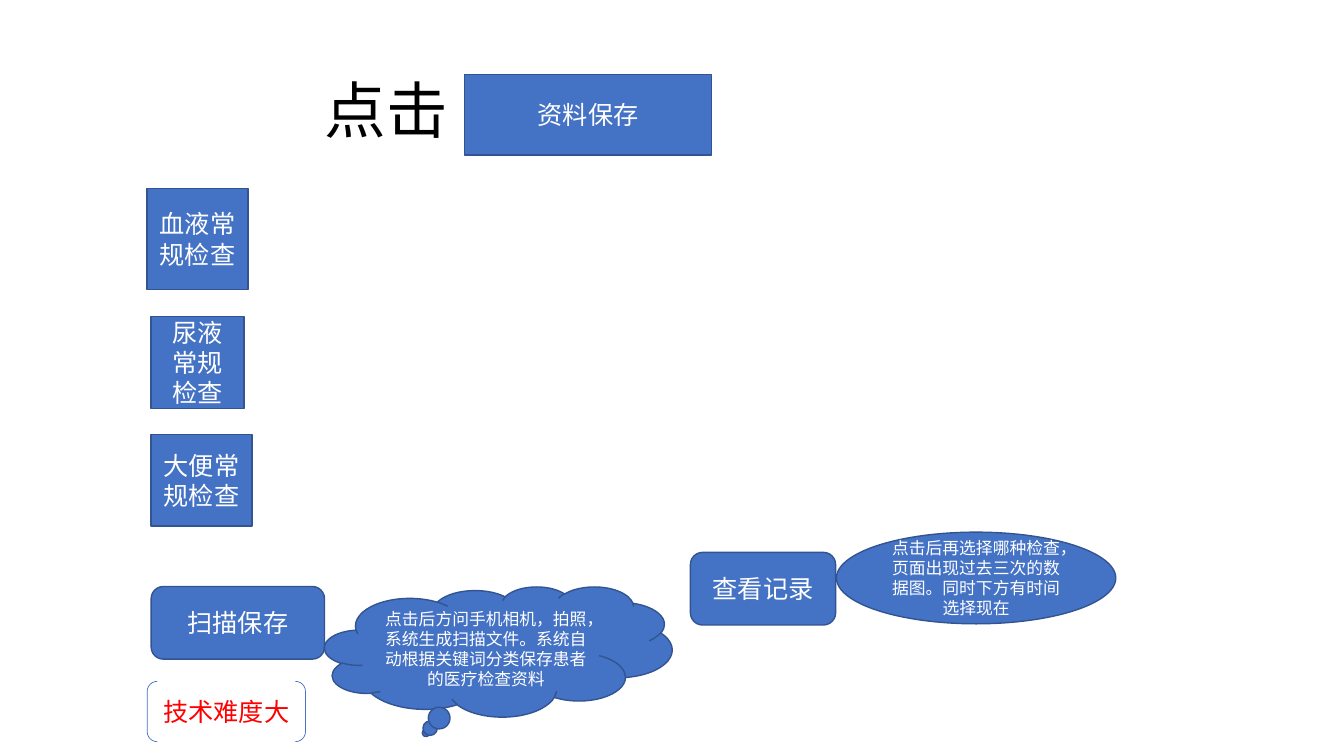
from pptx import Presentation
from pptx.dml.color import RGBColor
from pptx.enum.shapes import MSO_SHAPE
from pptx.enum.text import MSO_ANCHOR, PP_ALIGN
from pptx.util import Cm, Pt

RECTANGLE = MSO_SHAPE.RECTANGLE
ROUNDED = MSO_SHAPE.ROUNDED_RECTANGLE
CLOUD = MSO_SHAPE.CLOUD_CALLOUT
OVAL = MSO_SHAPE.OVAL
BRACKETS = MSO_SHAPE.DOUBLE_BRACKET
MIDDLE = MSO_ANCHOR.MIDDLE
LEFT, CENTER = PP_ALIGN.LEFT, PP_ALIGN.CENTER

COLORS = {
    "blue": "4472C4",
    "outline": "325491",
    "white": "FFFFFF",
    "black": "000000",
    "red": "FF0000",
}
FONT = "Calibri"
BLANK_LAYOUT = 6


def color(name):
    return RGBColor.from_string(COLORS[name])


def write_text(shape, text, size, text_color, align=CENTER, **paragraph_format):
    frame = shape.text_frame
    frame.word_wrap = True
    frame.vertical_anchor = MIDDLE
    paragraph = frame.paragraphs[0]
    paragraph.alignment = align
    for name, value in paragraph_format.items():
        setattr(paragraph, name, value)
    run = paragraph.add_run()
    run.text = text
    for name, value in {"name": FONT, "size": Pt(size)}.items():
        setattr(run.font, name, value)
    run.font.color.rgb = color(text_color)


def add_box(slide, kind, box, text, size=18, fill="blue",
            line="outline", line_width=1, text_color="white"):
    """Add a labelled shape; box is left, top, width, height in cm."""
    shape = slide.shapes.add_shape(kind, *map(Cm, box))
    shape.shadow.inherit = False
    if fill:
        shape.fill.solid()
        shape.fill.fore_color.rgb = color(fill)
    else:
        shape.fill.background()
    shape.line.color.rgb = color(line)
    shape.line.width = Pt(line_width)
    write_text(shape, text, size, text_color)


def add_header(slide, left, top, width, height):
    title = slide.shapes.add_textbox(Cm(left), Cm(top), Cm(width), Cm(height))
    write_text(title, "点击", 44, "black", LEFT, line_spacing=0.9)
    title.text_frame.margin_left = Cm(5.85)
    add_box(slide, RECTANGLE, (left + 9.37, top + 0.86, 6.22, 2.03), "资料保存")


def add_checks(slide, left, top):
    # Offset from the corner, then width and height
    checks = (
        ("血液常规检查", 0, 0, 2.54, 2.54),
        ("尿液常规检查", 0.1, 3.23, 2.34, 2.31),
        ("大便常规检查", 0.1, 6.2, 2.54, 2.31),
    )
    for text, right, down, width, height in checks:
        add_box(slide, RECTANGLE, (left + right, top + down, width, height), text)


def add_scan_area(slide, left, top, width, height):
    add_box(slide, ROUNDED, (left, top, width, height), "扫描保存")
    add_box(slide, CLOUD, (left + width, top, 8.76, 3.28),
            "点击后方问手机相机，拍照，系统生成扫描文件。"
            "系统自动根据关键词分类保存患者的医疗检查资料", size=12)


def add_record_area(slide, left, top, width, height):
    add_box(slide, ROUNDED, (left, top, width, height), "查看记录")
    add_box(slide, OVAL, (left + width + 0.02, top - 0.51, 7.04, 2.31),
            "点击后再选择哪种检查，页面出现过去三次的数据图。"
            "同时下方有时间选择现在", size=12)


def add_difficulty_note(slide, left, top, width, height):
    add_box(slide, BRACKETS, (left, top, width, height), "技术难度大",
            fill=None, line="blue", line_width=0.5, text_color="red")


def main():
    presentation = Presentation()
    presentation.slide_width = Cm(33.87)
    presentation.slide_height = Cm(19.05)
    slide = presentation.slides.add_slide(presentation.slide_layouts[BLANK_LAYOUT])

    add_header(slide, 2.34, 1.02, 29.21, 3.68)
    add_checks(slide, 3.71, 4.75)
    add_scan_area(slide, 3.81, 14.78, 4.37, 1.83)
    add_record_area(slide, 17.4, 13.92, 3.66, 1.83)
    add_difficulty_note(slide, 3.71, 17.17, 3.99, 1.52)

    presentation.save("out.pptx")


if __name__ == "__main__":
    main()
